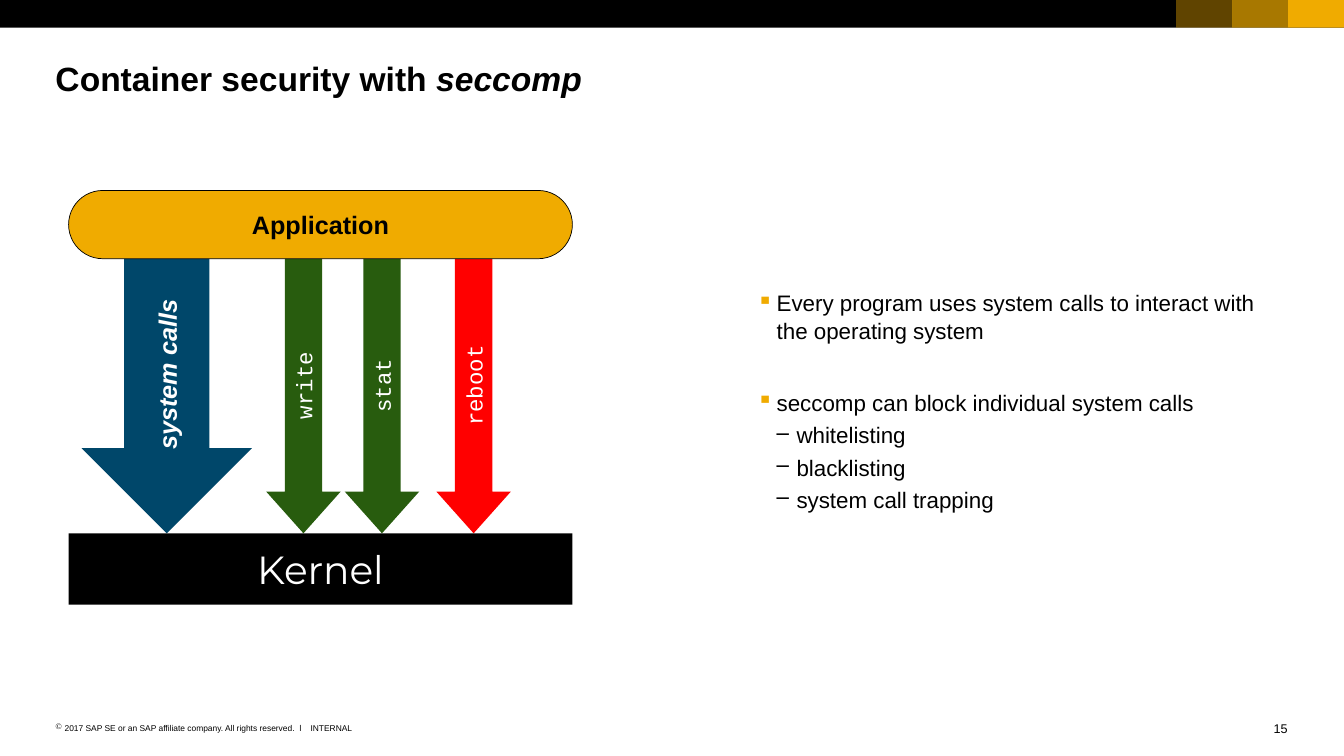
from dataclasses import dataclass

from lxml.etree import SubElement
from pptx import Presentation
from pptx.dml.color import RGBColor
from pptx.enum.shapes import MSO_SHAPE
from pptx.enum.text import MSO_ANCHOR, PP_ALIGN
from pptx.oxml.ns import qn
from pptx.util import Cm, Pt


@dataclass(frozen=True)
class Theme:
    black: str = "000000"
    white: str = "FFFFFF"
    gold: str = "F0AB00"
    blue: str = "00476A"
    green: str = "285C0E"
    red: str = "FF0000"
    sans: str = "Arial"
    mono: str = "Courier New"
    display: str = "Montserrat"
    title_size: int = 24
    kernel_size: int = 28
    label_size: int = 18
    body_size: int = 16
    number_size: int = 9
    footer_size: int = 6
    line_spacing: float = 1.05


THEME = Theme()


@dataclass(frozen=True)
class Box:
    """A region, measured in centimetres."""
    left: float
    top: float
    width: float
    height: float

    def inner(self, left, top, width, height):
        return Box(self.left + left, self.top + top, width, height)

    def lengths(self):
        return [Cm(n) for n in (self.left, self.top, self.width, self.height)]


def apply_format(target, values):
    for name, value in values.items():
        setattr(target, name, value)


def add_span(para, text, size, color=THEME.black, name=THEME.sans, **style):
    span = para.add_run()
    span.text = text
    apply_format(span.font, {"size": Pt(size), "name": name, **style})
    span.font.color.rgb = RGBColor.from_string(color)


def add_text_frame(page, box, anchor=MSO_ANCHOR.TOP):
    frame = page.shapes.add_textbox(*box.lengths()).text_frame
    apply_format(frame, {
        "word_wrap": True, "vertical_anchor": anchor, "margin_left": 0,
        "margin_top": 0, "margin_right": 0, "margin_bottom": 0})
    return frame


def add_block(page, kind, box, fill, opacity=100):
    shape = page.shapes.add_shape(kind, *box.lengths())
    shape.shadow.inherit = False
    shape.fill.solid()
    shape.fill.fore_color.rgb = RGBColor.from_string(fill)
    shape.line.fill.background()
    if opacity < 100:
        color = shape.fill._xPr.find(".//" + qn("a:srgbClr"))
        SubElement(color, qn("a:alpha"), val=str(opacity * 1000))
    return shape


def add_label(shape, text, size, color=THEME.white, **style):
    frame = shape.text_frame
    apply_format(frame, {
        "word_wrap": True, "vertical_anchor": MSO_ANCHOR.MIDDLE,
        "margin_left": Cm(0.25), "margin_right": Cm(0.25),
        "margin_top": Cm(0.2), "margin_bottom": Cm(0.2)})
    para = frame.paragraphs[0]
    para.alignment = PP_ALIGN.CENTER
    add_span(para, text, size, color, **style)


def add_bullet(para, mark, color, indent, hanging):
    props = para._p.get_or_add_pPr()
    props.set("marL", str(Cm(indent)))
    props.set("indent", str(-Cm(hanging)))
    bullet_color = SubElement(props, qn("a:buClr"))
    SubElement(bullet_color, qn("a:srgbClr"), val=color)
    SubElement(props, qn("a:buChar"), char=mark)


def add_tab(para, position):
    tabs = SubElement(para._p.get_or_add_pPr(), qn("a:tabLst"))
    SubElement(tabs, qn("a:tab"), pos=str(Cm(position)), algn="l")


def draw_top_bar(page, box):
    add_block(page, MSO_SHAPE.RECTANGLE, box, THEME.black)
    step = 1.41
    for place, opacity in enumerate((100, 70, 40), start=1):
        square = box.inner(box.width - place * step, 0, step, box.height)
        add_block(page, MSO_SHAPE.RECTANGLE, square, THEME.gold, opacity)


def draw_title(page, box):
    para = add_text_frame(page, box).paragraphs[0]
    para.line_spacing = THEME.line_spacing
    add_span(para, "Container security with ", THEME.title_size, bold=True)
    add_span(para, "seccomp", THEME.title_size, bold=True, italic=True)


def draw_diagram(page, box):
    application_height, kernel_height = 1.72, 1.8
    arrow_height = box.height - application_height - kernel_height

    # Arrows from the application down to the kernel
    call_style = {"size": THEME.body_size, "name": THEME.mono}
    arrows = (
        ("system calls", 0.33, 4.29, 0.5, THEME.blue,
         {"size": THEME.label_size, "bold": True, "italic": True}),
        ("write", 4.98, 1.88, 0.56, THEME.green, call_style),
        ("stat", 6.96, 1.88, 0.56, THEME.green, call_style),
        ("reboot", 9.27, 1.88, 0.56, THEME.red, call_style),
    )
    for text, left, width, head, fill, style in arrows:
        place = box.inner(left, application_height, width, arrow_height)
        arrow = add_block(page, MSO_SHAPE.DOWN_ARROW, place, fill)
        arrow.adjustments[1] = head
        add_label(arrow, text, **style)
        arrow.text_frame._txBody.bodyPr.set("vert", "vert270")

    # Kernel bar
    place = box.inner(0, box.height - kernel_height, box.width, kernel_height)
    kernel = add_block(page, MSO_SHAPE.RECTANGLE, place, THEME.black)
    add_label(kernel, "Kernel", THEME.kernel_size, name=THEME.display)

    # Application pill
    place = box.inner(0, 0, box.width, application_height)
    application = add_block(page, MSO_SHAPE.ROUNDED_RECTANGLE, place, THEME.gold)
    application.adjustments[0] = 0.5
    application.line.color.rgb = RGBColor.from_string(THEME.black)
    application.line.width = Pt(0.5)
    add_label(application, "Application", THEME.label_size, THEME.black, bold=True)


def draw_bullets(page, box):
    frame = add_text_frame(page, box, MSO_ANCHOR.MIDDLE)
    items = (
        (1, 0, "Every program uses system calls to interact with the operating system"),
        (1, 31, "seccomp can block individual system calls"),
        (2, 3, "whitelisting"),
        (2, 3, "blacklisting"),
        (2, 3, "system call trapping"),
    )
    marks = {1: ("▪", THEME.gold), 2: ("–", THEME.black)}
    hanging = 0.5
    for index, (level, gap, text) in enumerate(items):
        para = frame.add_paragraph() if index else frame.paragraphs[0]
        apply_format(para, {"level": level - 1, "space_before": Pt(gap),
                            "line_spacing": THEME.line_spacing})
        add_bullet(para, *marks[level], level * hanging, hanging)
        add_span(para, text, THEME.body_size)


def draw_footer(page, box):
    # Copyright line with its separator on a tab stop
    para = add_text_frame(page, box.inner(0, 0, 6.4, 0.25)).paragraphs[0]
    add_bullet(para, "©", THEME.black, 0.23, 0.23)
    add_tab(para, 6.15)
    add_span(para, "2017 SAP SE or an SAP affiliate company. All rights reserved.\tǀ",
             THEME.footer_size)

    # Classification
    para = add_text_frame(page, box.inner(6.43, 0, 1.5, 0.25)).paragraphs[0]
    add_span(para, "INTERNAL", THEME.footer_size)

    # Page number
    para = add_text_frame(page, box.inner(box.width - 1, -0.05, 1, 0.38)).paragraphs[0]
    para.alignment = PP_ALIGN.RIGHT
    add_span(para, "15", THEME.number_size)


def main():
    deck = Presentation()
    deck.slide_width, deck.slide_height = Cm(33.88), Cm(19.05)
    page = deck.slides.add_slide(deck.slide_layouts[6])
    draw_footer(page, Box(1.4, 18.21, 31.06, 0.38))
    draw_top_bar(page, Box(0, 0, 33.88, 0.7))
    draw_title(page, Box(1.4, 1.42, 31.06, 1.02))
    draw_diagram(page, Box(1.73, 4.8, 12.7, 10.44))
    draw_bullets(page, Box(19.08, 4.14, 13.41, 11.91))
    deck.save("out.pptx")


if __name__ == "__main__":
    main()
